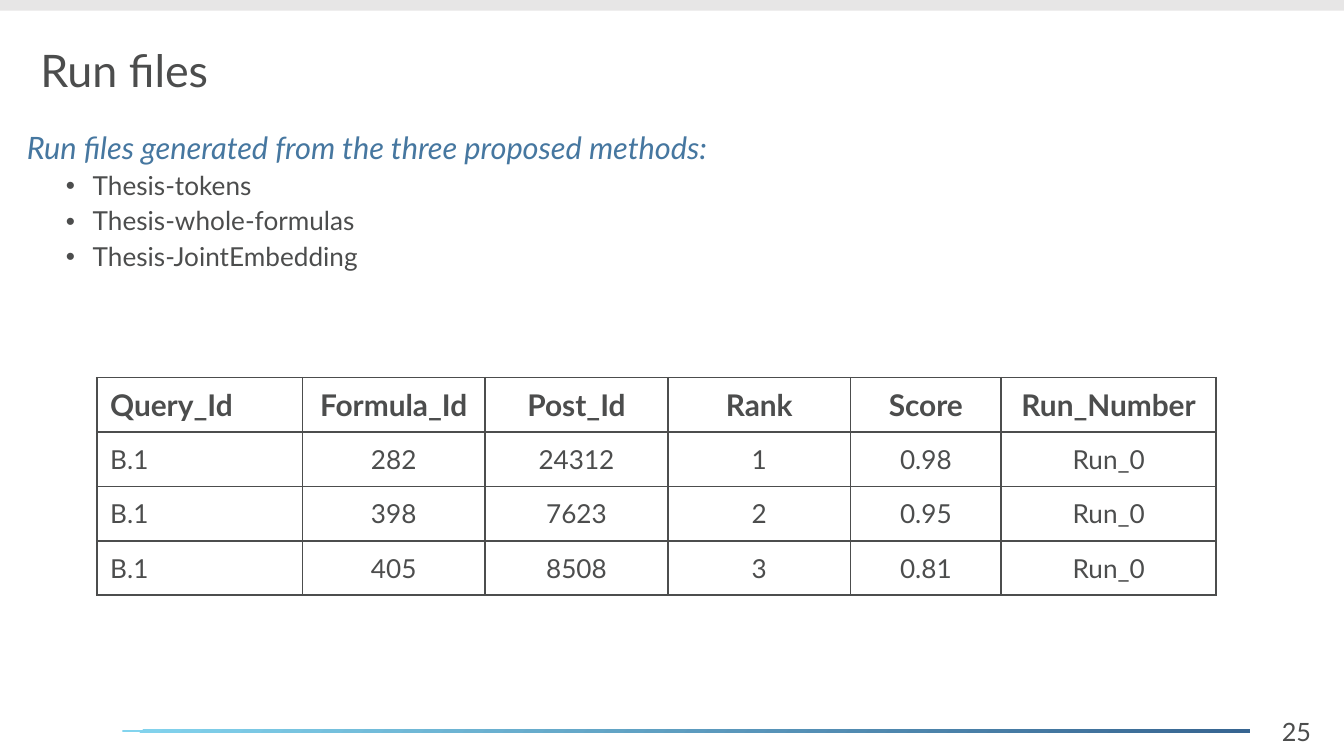
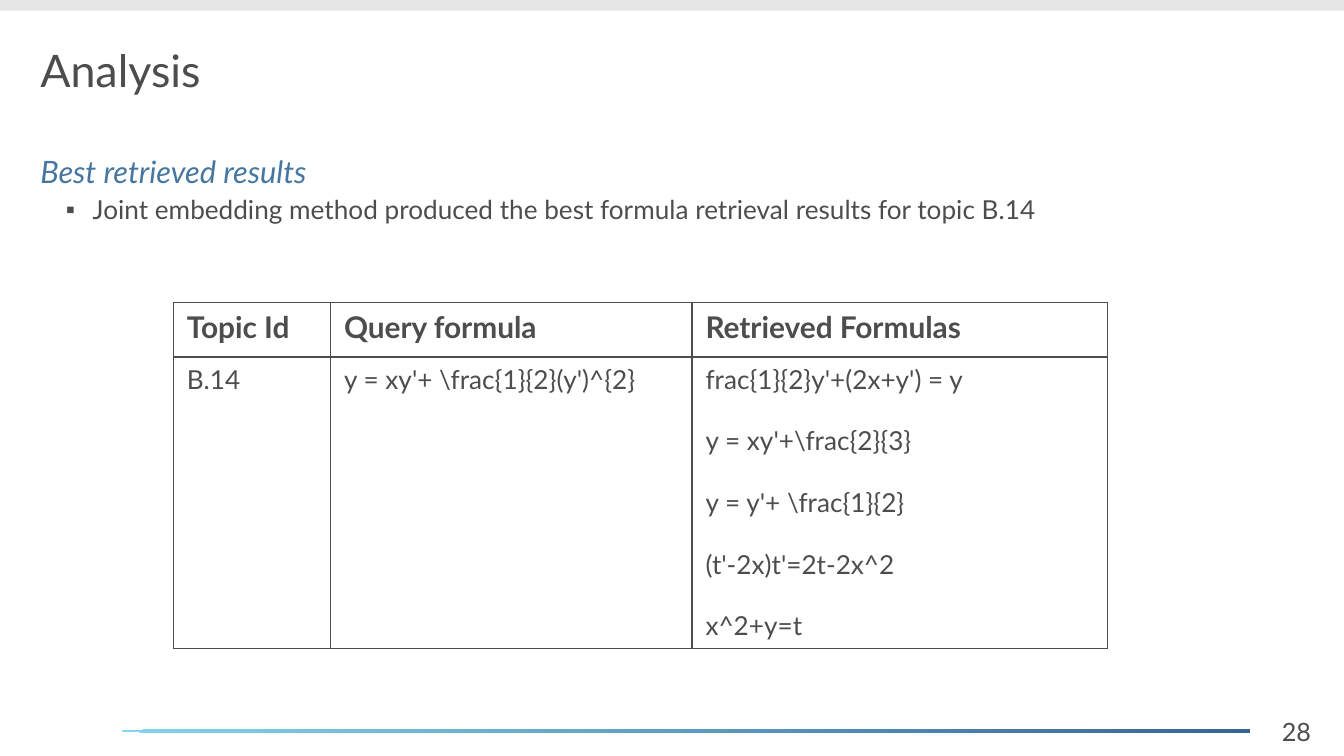
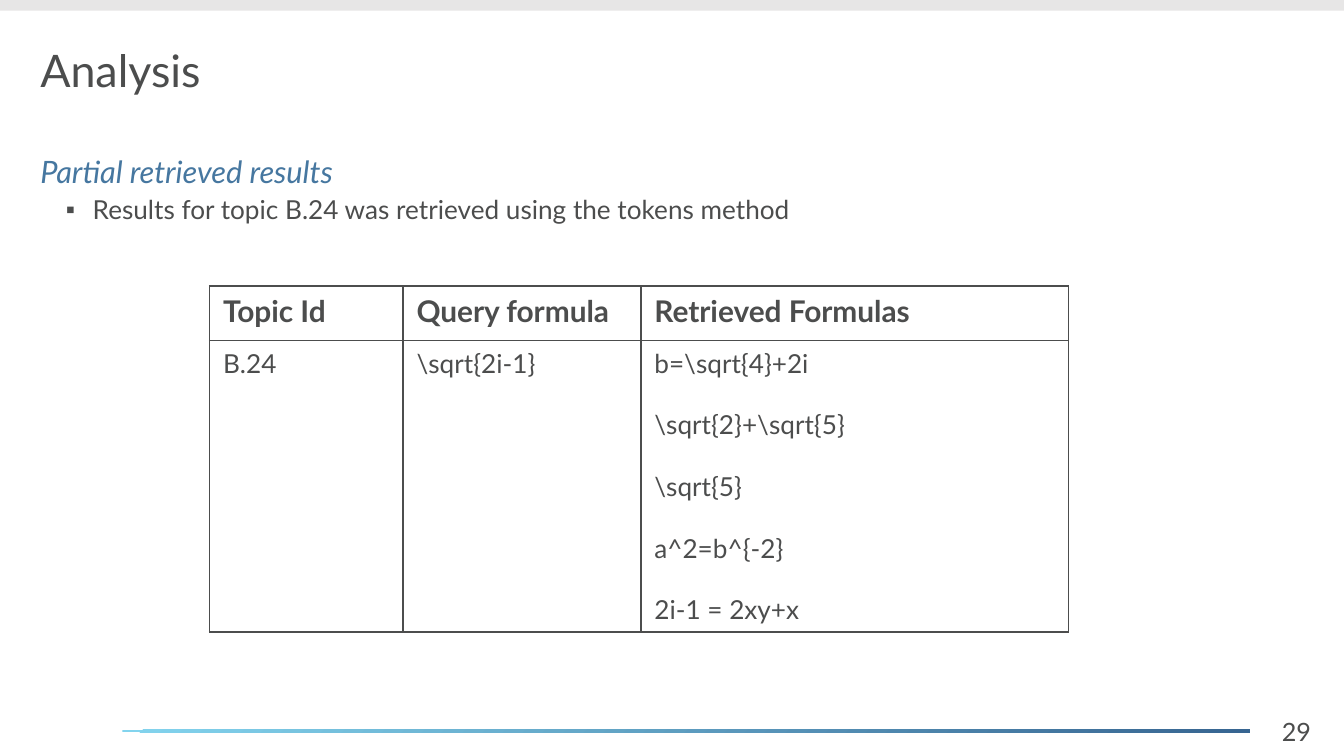
"""Build three slides on formula retrieval: run files and two result analyses."""
from lxml import etree
from pptx import Presentation
from pptx.dml.color import RGBColor
from pptx.enum.shapes import MSO_SHAPE
from pptx.enum.text import MSO_ANCHOR, MSO_AUTO_SIZE, PP_ALIGN
from pptx.oxml.ns import qn
from pptx.util import Inches, Pt

RECTANGLE = MSO_SHAPE.RECTANGLE
MIDDLE, TOP = MSO_ANCHOR.MIDDLE, MSO_ANCHOR.TOP
LEFT, CENTER, JUSTIFY = PP_ALIGN.LEFT, PP_ALIGN.CENTER, PP_ALIGN.JUSTIFY

TEXT = RGBColor(0x4C, 0x4D, 0x4D)
ACCENT = RGBColor(0x46, 0x77, 0xA0)
BAND = RGBColor(0xE7, 0xE6, 0xE6)
RULE_START = RGBColor(0x83, 0xD4, 0xEE)
RULE_END = RGBColor(0x37, 0x65, 0x91)

FONT = "Lato"
WIDTH = 10
HEIGHT = WIDTH * 9 / 16
MARGIN = 0.2
TITLE_ONLY = 5
ROW_HEIGHT = 1.62 / 4
RESULT_HEIGHT = 2.17
RESULT_GAP = 16.2
RESULT_HEADER = ["Topic Id", "Query formula", "Retrieved Formulas"]


def box(left, top, width, height):
    """Convert a rectangle from inches to slide lengths."""
    return [Inches(value) for value in (left, top, width, height)]


def style(paragraph, size, color=TEXT, bold=False, italic=False, align=LEFT):
    """Set the font and alignment of a whole paragraph."""
    paragraph.alignment = align
    font = paragraph.font
    font.name, font.size = FONT, Pt(size)
    font.bold, font.italic = bold, italic
    font.color.rgb = color


def add_bar(slide, *place):
    """Add a plain rectangle without outline and return its fill."""
    shape = slide.shapes.add_shape(RECTANGLE, *box(*place))
    shape.shadow.inherit = False
    shape.line.fill.background()
    return shape.fill


def add_frame(slide, number):
    """Add the top band, the gradient footer rule and the slide number."""
    band = add_bar(slide, 0, 0, WIDTH, 0.08)
    band.solid()
    band.fore_color.rgb = BAND
    rule = add_bar(slide, 0.91, 5.43, 8.39, 0.02)
    rule.gradient()
    rule.gradient_angle = 315
    for stop, position, color in zip(rule.gradient_stops, (0, 1), (RULE_START, RULE_END)):
        stop.position = position
        stop.color.rgb = color
    frame = slide.shapes.add_textbox(*box(9.35, 5.28, 0.59, 0.33)).text_frame
    frame.word_wrap = True
    frame.text = str(number)
    style(frame.paragraphs[0], 13.5, align=CENTER)


def add_slide(presentation, title, number):
    """Add a slide with the shared frame and title."""
    slide = presentation.slides.add_slide(presentation.slide_layouts[TITLE_ONLY])
    add_frame(slide, number)
    shape = slide.shapes.title
    shape.left, shape.top, shape.width, shape.height = box(MARGIN, 0.31, 7.09, 0.47)
    frame = shape.text_frame
    frame.text = title
    frame.auto_size = MSO_AUTO_SIZE.NONE
    frame.vertical_anchor = MIDDLE
    frame.paragraphs[0].line_spacing = 0.9
    style(frame.paragraphs[0], 24)
    return slide


def indent(paragraph, margin, first_line=0, bullet=None):
    """Set a paragraph's left margin, first-line indent and bullet."""
    properties = paragraph._p.get_or_add_pPr()
    properties.set("marL", str(Inches(margin)))
    properties.set("indent", str(Inches(first_line)))
    if bullet:
        etree.SubElement(properties, qn("a:buFont")).set("typeface", "Arial")
        etree.SubElement(properties, qn("a:buChar")).set("char", bullet)


def add_body(slide, top, heading, points, bullet, margin=0):
    """Add an italic heading with a bulleted list below it."""
    place = box(MARGIN, top, WIDTH - 2 * MARGIN, 5.19 - top)
    frame = slide.shapes.add_textbox(*place).text_frame
    frame.word_wrap = True
    frame.margin_left = 0
    frame.text = "\n".join([heading, *points])
    first, *others = frame.paragraphs
    first.line_spacing, first.space_before = Pt(22), Pt(7.5)
    indent(first, margin)
    style(first, 16.5, ACCENT, italic=True)
    for paragraph in others:
        paragraph.level = 1
        paragraph.line_spacing, paragraph.space_before = 0.9, Pt(3.8)
        indent(paragraph, 0.49, -0.2, bullet)
        style(paragraph, 14)


def add_borders(cell):
    """Draw a thin line on each side of a cell."""
    properties = cell._tc.get_or_add_tcPr()
    for side in ("a:lnL", "a:lnR", "a:lnT", "a:lnB"):
        line = etree.SubElement(properties, qn(side), w=str(Pt(1)))
        fill = etree.SubElement(line, qn("a:solidFill"))
        etree.SubElement(fill, qn("a:srgbClr"), val=str(TEXT))


def add_table(slide, left, top, widths, heights, rows, aligns, anchor):
    """Add a bordered table with a bold header row."""
    place = box(left, top, sum(widths), sum(heights))
    table = slide.shapes.add_table(len(rows), len(widths), *place).table
    table.first_row = table.horz_banding = False
    for column, width in zip(table.columns, widths):
        column.width = Inches(width)
    for row_index, (height, values) in enumerate(zip(heights, rows)):
        table.rows[row_index].height = Inches(height)
        header = row_index == 0
        for column_index, value in enumerate(values):
            cell = table.cell(row_index, column_index)
            cell.text = value
            cell.vertical_anchor = anchor
            add_borders(cell)
            cell.fill.background()
            for index, paragraph in enumerate(cell.text_frame.paragraphs):
                if index:
                    paragraph.space_before = Pt(RESULT_GAP)
                style(paragraph, 16 if header else 14, bold=header,
                      align=aligns[column_index])


def add_run_files(presentation):
    """Add the slide that shows the format of the run files."""
    slide = add_slide(presentation, "Run files", 25)
    methods = ["Thesis-tokens", "Thesis-whole-formulas", "Thesis-JointEmbedding"]
    add_body(slide, 0.88, "Run files generated from the three proposed methods:", methods, "•")
    rows = [
        ["Query_Id", "Formula_Id", "Post_Id", "Rank", "Score", "Run_Number"],
        ["B.1", "282", "24312", "1", "0.98", "Run_0"],
        ["B.1", "398", "7623", "2", "0.95", "Run_0"],
        ["B.1", "405", "8508", "3", "0.81", "Run_0"],
    ]
    widths = [1.53, 1.36, 1.36, 1.36, 1.12, 1.6]
    add_table(slide, 0.72, 2.81, widths, [ROW_HEIGHT] * len(rows), rows,
              [JUSTIFY] + [CENTER] * 5, MIDDLE)


def add_analysis(presentation, number, heading, point, left, top, widths, topic, query, formulas):
    """Add a slide that lists the formulas retrieved for one topic."""
    slide = add_slide(presentation, "Analysis", number)
    add_body(slide, 1.06, heading, [point], "▪", margin=0.1)
    rows = [RESULT_HEADER, [topic, query, "\n".join(formulas)]]
    add_table(slide, left, top, widths, [ROW_HEIGHT, RESULT_HEIGHT], rows, [LEFT] * 3, TOP)


def main():
    """Build and save the presentation."""
    presentation = Presentation()
    presentation.slide_width, presentation.slide_height = Inches(WIDTH), Inches(HEIGHT)
    add_run_files(presentation)
    add_analysis(
        presentation, 28, "Best retrieved results",
        "Joint embedding method produced the best formula retrieval results for topic B.14",
        1.29, 2.25, [1.17, 2.69, 3.09], "B.14", r"y = xy'+ \frac{1}{2}(y')^{2}",
        ["frac{1}{2}y'+(2x+y') = y", r"y = xy'+\frac{2}{3}", r"y = y'+ \frac{1}{2}",
         "(t'-2x)t'=2t-2x^2", "x^2+y=t"])
    add_analysis(
        presentation, 29, "Partial retrieved results",
        "Results for topic B.24 was retrieved using the tokens method",
        1.56, 2.13, [1.44, 1.77, 3.18], "B.24", r"\sqrt{2i-1}",
        [r"b=\sqrt{4}+2i", r"\sqrt{2}+\sqrt{5}", r"\sqrt{5}", "a^2=b^{-2}", "2i-1 = 2xy+x"])
    presentation.save("out.pptx")


main()
